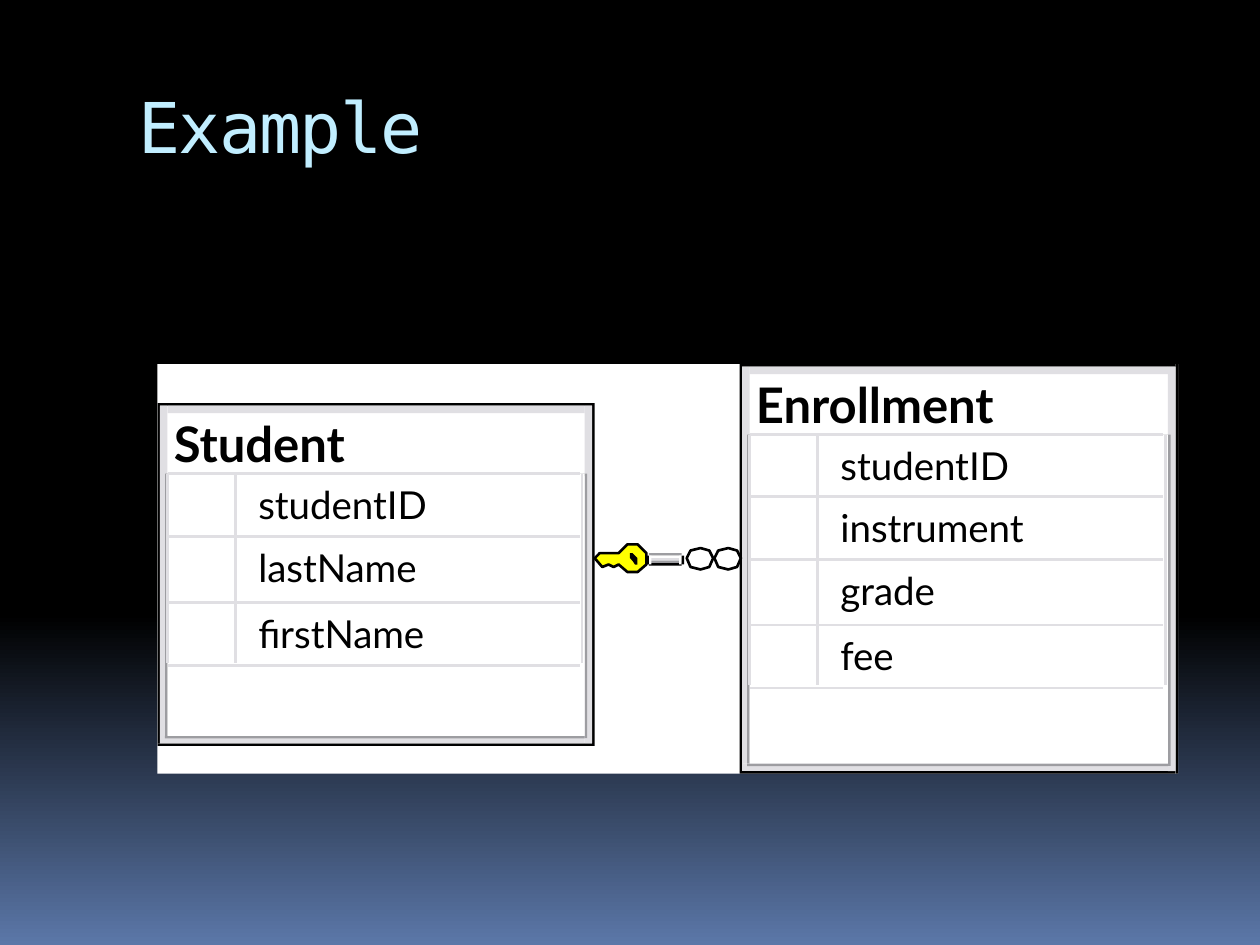
from pptx import Presentation
from pptx.dml.color import RGBColor
from pptx.enum.shapes import MSO_CONNECTOR, MSO_SHAPE
from pptx.oxml.ns import qn
from pptx.util import Inches, Pt
from lxml.etree import SubElement

COLORS = {
    "black": "000000",
    "white": "FFFFFF",
    "night": "5B77A8",
    "title": "C1EEFF",
    "frame": "E0DFE3",
    "shade": "9D9DA1",
    "key": "FFFF00",
}
STUDENT_FIELDS = [("studentID", 1.45, 0.5), ("lastName", 1.32, 0.52), ("firstName", 1.36, 0.5)]
ENROLLMENT_FIELDS = [
    ("studentID", 1.45, 0.49),
    ("instrument", 1.56, 0.5),
    ("grade", 0.89, 0.52),
    ("fee", 0.52, 0.5),
]
LINK = [(0.11, 0), (0.03, 0.02), (0, 0.08), (0.03, 0.15), (0.11, 0.17), (0.18, 0.15), (0.21, 0.08), (0.18, 0.02)]
KEY = [
    (4.72, 4.43), (4.76, 4.39), (4.91, 4.39), (4.98, 4.32), (5.06, 4.32), (5.13, 4.39), (5.13, 4.48),
    (5.06, 4.54), (4.98, 4.54), (4.91, 4.48), (4.87, 4.5), (4.83, 4.48), (4.78, 4.5),
]
KEY_HOLE = [
    (5.04, 4.48), (5.06, 4.48), (5.06, 4.43), (5.04, 4.41), (5.02, 4.39), (5, 4.39), (5, 4.43), (5.02, 4.45),
]


def rgb(name):
    return RGBColor.from_string(COLORS[name])


class Diagram:
    font = "Lato"
    title_font = "DejaVu Sans Mono"
    line_width = Pt(1.5)

    def __init__(self, slide):
        self.slide = slide

    def background(self):
        fill = self.slide.background.fill
        fill.gradient()
        fill.gradient_angle = 270
        for stop, position, color in zip(fill.gradient_stops, (0.65, 1), ("black", "night")):
            stop.position = position
            stop.color.rgb = rgb(color)

    def text(self, left, top, width, height, words, size, color="black", bold=False, font=None):
        shape = self.slide.shapes.add_textbox(Inches(left), Inches(top), Inches(width), Inches(height))
        frame = shape.text_frame
        frame.margin_left = frame.margin_top = frame.margin_right = frame.margin_bottom = 0
        frame.word_wrap = False
        frame.text = words
        style = frame.paragraphs[0].runs[0].font
        style.name = font or self.font
        style.size = Pt(size)
        style.bold = bold
        style.color.rgb = rgb(color)
        return frame

    def title(self, words):
        frame = self.text(1, 0.56, 8.5, 1, words, 40, "title", font=self.title_font)
        frame.word_wrap = True
        frame.margin_left = frame.margin_top = Inches(0.1)
        frame.paragraphs[0].runs[0].font._element.set("spc", "-100")

    def paint(self, shape, fill, line=None):
        shape.shadow.inherit = False
        if fill:
            shape.fill.solid()
            shape.fill.fore_color.rgb = rgb(fill)
        else:
            shape.fill.background()
        if line:
            shape.line.color.rgb = rgb(line)
            shape.line.width = self.line_width
        else:
            shape.line.fill.background()

    def box(self, left, top, width, height, fill):
        shape = self.slide.shapes.add_shape(
            MSO_SHAPE.RECTANGLE, Inches(left), Inches(top), Inches(width), Inches(height)
        )
        self.paint(shape, fill)

    def border(self, left, top, right, bottom, thickness, color):
        self.box(right - thickness, top, thickness, bottom - top, color)
        self.box(left, bottom - thickness, right - left - thickness, thickness, color)
        self.box(left, top, thickness, bottom - top - thickness, color)
        self.box(left + thickness, top, right - left - 2 * thickness, thickness, color)

    def rule(self, start_x, start_y, end_x, end_y):
        connector = self.slide.shapes.add_connector(
            MSO_CONNECTOR.STRAIGHT, Inches(start_x), Inches(start_y), Inches(end_x), Inches(end_y)
        )
        connector.line.color.rgb = rgb("frame")
        connector.line.width = self.line_width
        SubElement(connector._element.spPr, qn("a:effectLst"))

    def outline(self, points, fill=None, line=None):
        corners = [(Inches(x), Inches(y)) for x, y in points]
        builder = self.slide.shapes.build_freeform(*corners[0])
        builder.add_line_segments(corners[1:], close=True)
        self.paint(builder.convert_to_shape(), fill, line)

    def entity(self, name, name_width, left, top, right, bottom, fields):
        inner_left, inner_right = left + 0.08, right - 0.08
        row_top = top + 0.56
        self.border(left, top, right, bottom, 0.02, "black")
        self.border(left + 0.02, top + 0.02, right - 0.02, bottom - 0.02, 0.06, "frame")
        self.text(left + 0.13, top + 0.08, name_width, 0.47, name, 28, bold=True)
        self.border(inner_left - 0.02, row_top, inner_right + 0.02, bottom - 0.06, 0.02, "shade")
        self.box(inner_left, row_top, inner_right - inner_left, bottom - 0.08 - row_top, "white")
        row_tops = [row_top]
        for field, width, height in fields:
            self.text(inner_left + 0.72, row_tops[-1] + 0.06, width, 0.43, field, 22)
            row_tops.append(row_tops[-1] + height)
        for y in row_tops:
            self.rule(inner_left, y, inner_right - 0.04, y)
        for x in (inner_left, inner_left + 0.54, inner_right - 0.02):
            self.rule(x, row_top, x, row_tops[-1] - 0.02)

    def relation(self):
        bands = ("shade", "white", "frame", "shade", "black")
        for index, color in enumerate(bands):
            self.box(5.15, 4.39 + index * 0.02, 0.26, 0.02, color)
        for x, color in ((5.15, "white"), (5.13, "black"), (5.39, "white"), (5.41, "black")):
            self.box(x, 4.41, 0.02, 0.07, color)
        for left in (5.67, 5.45):
            self.outline([(left + x, 4.35 + y) for x, y in LINK], line="black")
        self.outline(KEY, "key", "black")
        self.outline(KEY_HOLE, "black")


def main():
    presentation = Presentation()
    presentation.slide_width = Inches(10)
    presentation.slide_height = Inches(7.5)
    diagram = Diagram(presentation.slides.add_slide(presentation.slide_layouts[6]))
    diagram.background()
    diagram.title("Example")
    diagram.box(1.25, 2.89, 8.1, 3.25, "white")
    diagram.entity("Enrollment", 2.16, 5.87, 2.89, 9.35, 6.14, ENROLLMENT_FIELDS)
    diagram.entity("Student", 1.56, 1.25, 3.2, 4.72, 5.92, STUDENT_FIELDS)
    diagram.relation()
    presentation.save("out.pptx")


if __name__ == "__main__":
    main()
